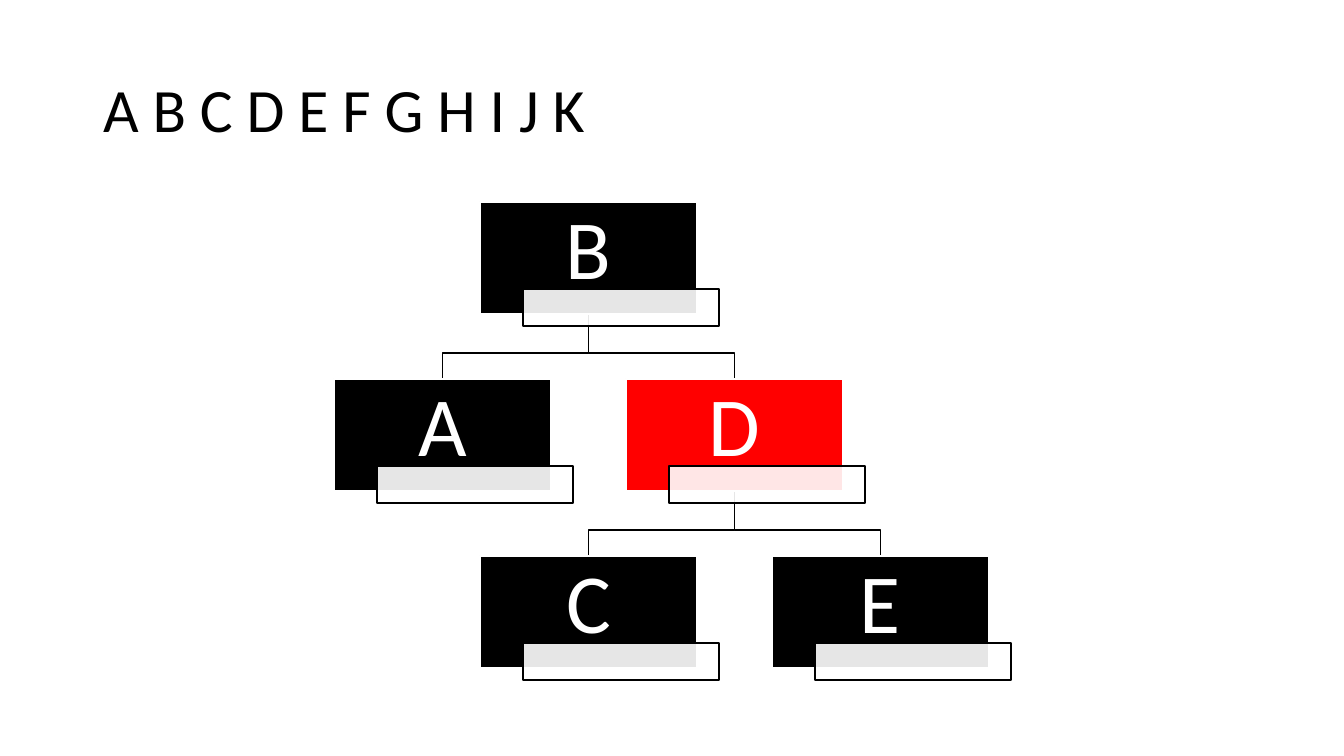
from pptx import Presentation
from pptx.dml.color import RGBColor
from pptx.enum.shapes import MSO_SHAPE
from pptx.enum.text import MSO_ANCHOR, MSO_AUTO_SIZE, PP_ALIGN
from pptx.oxml.ns import qn
from pptx.util import Pt
from lxml import etree

# Content: name -> (parent, column, row)
TITLE = "A B C D E F G H I J K"
TREE = {
    "B": (None, 1, 0),
    "A": ("B", 0, 1),
    "D": ("B", 2, 1),
    "C": ("D", 1, 2),
    "E": ("D", 3, 2),
}
HIGHLIGHTED = "D"

BLACK = RGBColor(0, 0, 0)
WHITE = RGBColor(255, 255, 255)
RED = RGBColor(255, 0, 0)
FONT = "Calibri"
RECTANGLE = MSO_SHAPE.RECTANGLE
MIDDLE = MSO_ANCHOR.MIDDLE
LEFT, CENTER = PP_ALIGN.LEFT, PP_ALIGN.CENTER
NO_FIT = MSO_AUTO_SIZE.NONE

# Lengths in pixels
SCALE = 914400 / 100.8
PAGE_SIZE = (1344, 756)
TITLE_AREA = (93, 40, 1159, 146)
TREE_LEFT, TREE_TOP = 334, 202
COLUMN_STEP, ROW_STEP = 146, 177
NODE_WIDTH, NODE_HEIGHT = 217, 112
LABEL_SHIFT_X, LABEL_SHIFT_Y = 43, 87
LABEL_WIDTH, LABEL_HEIGHT = 196, 37
ELBOW_DROP = 39
NODE_INSETS = (4, 4, 4, 16)


def emu(*pixels):
    return [round(pixel * SCALE) for pixel in pixels]


def node_corner(name):
    parent, column, row = TREE[name]
    return TREE_LEFT + column * COLUMN_STEP, TREE_TOP + row * ROW_STEP


def set_outline(shape, color):
    shape.line.color.rgb = color
    shape.line.width = Pt(1)
    shape.shadow.inherit = False


def add_box(left, top, width, height, fill, outline):
    box = page.shapes.add_shape(RECTANGLE, *emu(left, top, width, height))
    box.fill.solid()
    box.fill.fore_color.rgb = fill
    set_outline(box, outline)
    return box


def set_text(shape, text, size, color, alignment):
    frame = shape.text_frame
    frame.text = text
    frame.word_wrap = True
    frame.auto_size = NO_FIT
    frame.vertical_anchor = MIDDLE
    para = frame.paragraphs[0]
    para.alignment = alignment
    para.line_spacing = 0.9
    font = para.runs[0].font
    font.name, font.size, font.color.rgb = FONT, Pt(size), color
    return frame


deck = Presentation()
deck.slide_width, deck.slide_height = emu(*PAGE_SIZE)
page = deck.slides.add_slide(deck.slide_layouts[5])

# Title
title = page.shapes.title
title.left, title.top, title.width, title.height = emu(*TITLE_AREA)
set_text(title, TITLE, 44, BLACK, LEFT)

# Elbow lines from each parent to its children
for name, (parent, column, row) in TREE.items():
    if parent is None:
        continue
    parent_left, parent_top = node_corner(parent)
    child_left, child_top = node_corner(name)
    start_x, end_x = parent_left + NODE_WIDTH / 2, child_left + NODE_WIDTH / 2
    start_y = parent_top + NODE_HEIGHT
    bend_y = start_y + ELBOW_DROP
    builder = page.shapes.build_freeform(*emu(start_x, start_y))
    corners = [(start_x, bend_y), (end_x, bend_y), (end_x, child_top)]
    builder.add_line_segments([emu(*corner) for corner in corners], close=False)
    elbow = builder.convert_to_shape()
    elbow.fill.background()
    set_outline(elbow, BLACK)

# Nodes, each with an empty translucent label
for name in TREE:
    left, top = node_corner(name)
    fill = RED if name == HIGHLIGHTED else BLACK
    node = add_box(left, top, NODE_WIDTH, NODE_HEIGHT, fill, WHITE)
    frame = set_text(node, name, 60, WHITE, CENTER)
    (frame.margin_left, frame.margin_top,
     frame.margin_right, frame.margin_bottom) = emu(*NODE_INSETS)

    label = add_box(left + LABEL_SHIFT_X, top + LABEL_SHIFT_Y,
                    LABEL_WIDTH, LABEL_HEIGHT, WHITE, BLACK)
    color = label.fill._xPr.find(qn("a:solidFill"))[0]
    etree.SubElement(color, qn("a:alpha")).set("val", "90000")

deck.save("out.pptx")
